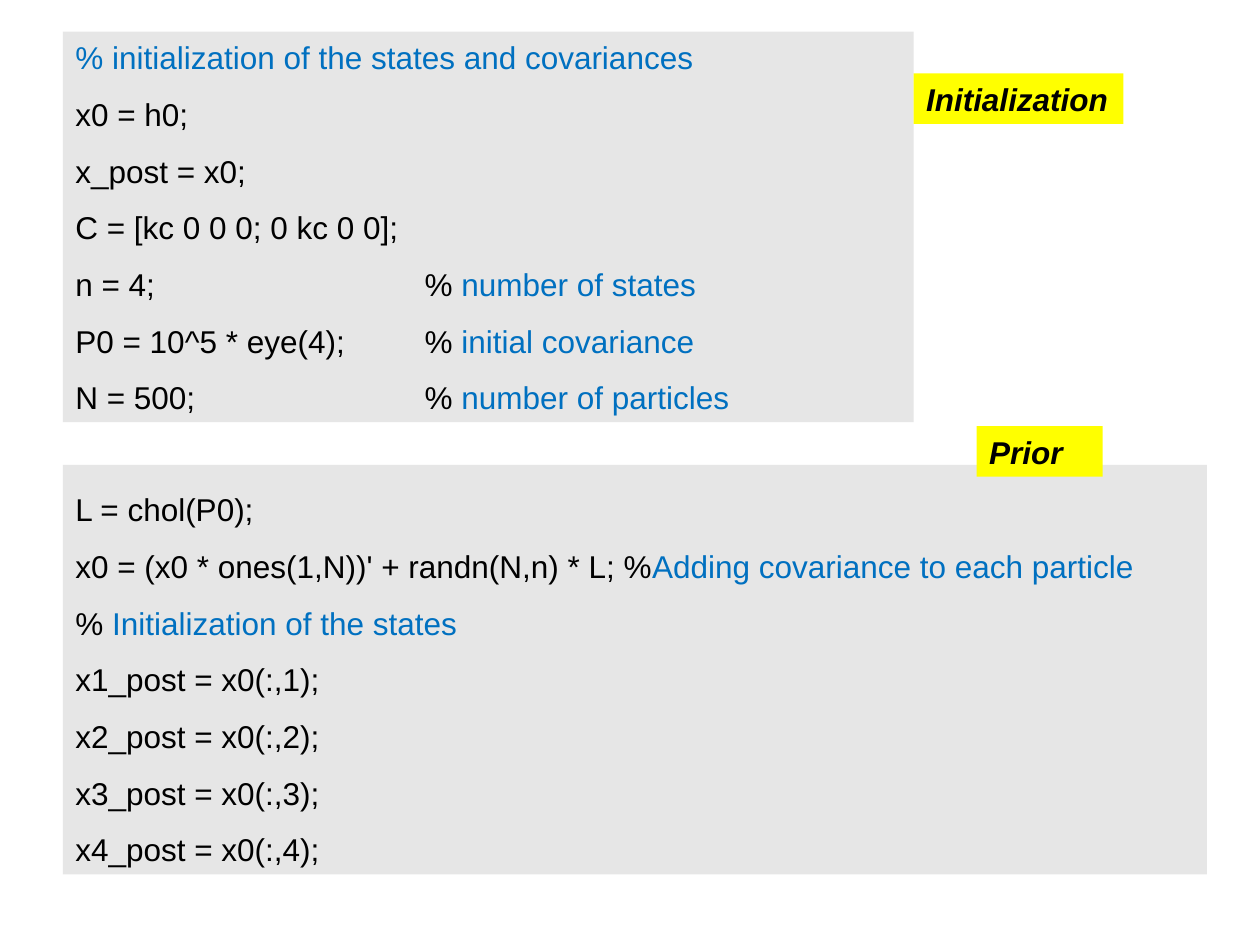
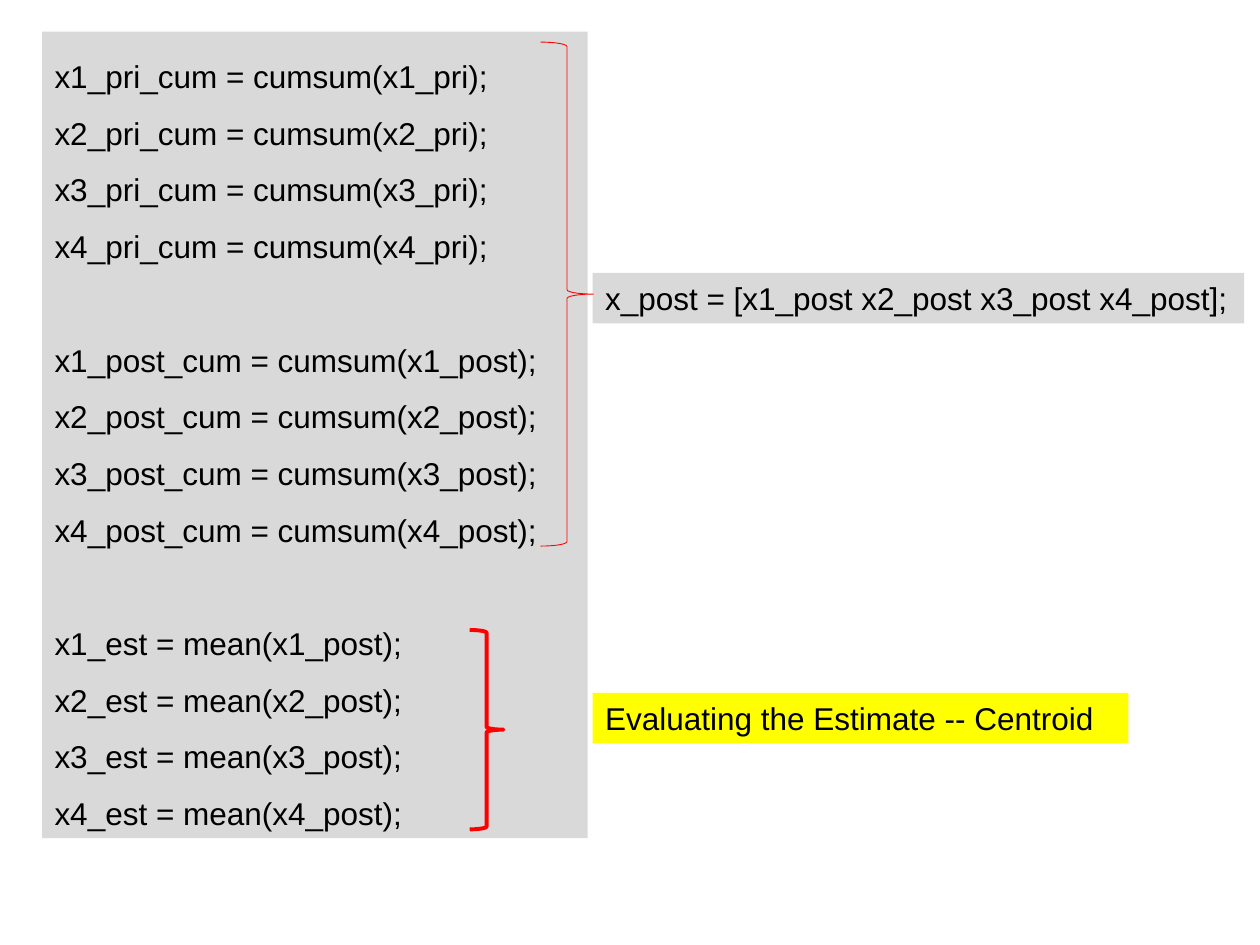
"""Build two slides of annotated particle filter code."""
from lxml.etree import SubElement
from pptx import Presentation
from pptx.dml.color import RGBColor
from pptx.enum.shapes import MSO_SHAPE as Shape
from pptx.enum.text import MSO_ANCHOR as Anchor, PP_ALIGN as Align
from pptx.oxml.ns import qn
from pptx.util import Cm, Pt

BLACK, BLUE, RED, YELLOW = "000000", "0070C0", "FF0000", "FFFF00"
LIGHT_GREY, GREY = "E6E6E6", "D9D9D9"
FONT, SIZE = "Arial", Pt(18)
CODE_SPACING, CODE_PITCH = 1.5, Pt(32.4)
COMMENT_TAB = Cm(7.04)
PADDING_X, PADDING_Y = Cm(0.25), Cm(0.13)
LABEL_HEIGHT = 1.02
STATES = range(1, 5)

INITIALIZATION = [
    ("x0 = h0;", ""),
    ("x_post = x0;", ""),
    ("C = [kc 0 0 0; 0 kc 0 0];", ""),
    ("n = 4;\t% ", "number of states"),
    ("P0 = 10^5 * eye(4);\t% ", "initial covariance"),
    ("N = 500;\t% ", "number of particles"),
]
PRIOR = [
    ("L = chol(P0);", ""),
    ("x0 = (x0 * ones(1,N))' + randn(N,n) * L; %", "Adding covariance to each particle"),
    ("% ", "Initialization of the states"),
] + [(f"x{i}_post = x0(:,{i});", "") for i in STATES]
ESTIMATE_GROUPS = [
    [(f"x{i}_pri_cum = cumsum(x{i}_pri);", "") for i in STATES],
    [(f"x{i}_post_cum = cumsum(x{i}_post);", "") for i in STATES],
    [(f"x{i}_est = mean(x{i}_post);", "") for i in STATES],
]

SLIDES = [
    {
        "code": [
            ((1.27, 0.64, 17.15, 7.87), LIGHT_GREY,
             "% initialization of the states and covariances", [INITIALIZATION]),
            ((1.27, 9.37, 23.06, 8.26), LIGHT_GREY, "", [PRIOR]),
        ],
        "labels": [
            ((19.69, 8.59, 2.54), YELLOW, "Prior", True),
            ((18.42, 1.48, 4.23), YELLOW, "Initialization", True),
        ],
        "braces": [],
    },
    {
        "code": [((0.85, 0.64, 11, 16.26), GREY, "", ESTIMATE_GROUPS)],
        "labels": [
            ((11.95, 5.5, 13.13), GREY, "x_post = [x1_post x2_post x3_post x4_post];", False),
            ((11.95, 13.97, 10.8), YELLOW, "Evaluating the Estimate -- Centroid", False),
        ],
        "braces": [((10.9, 0.85, 1.06, 10.16), 0.5), ((9.47, 12.7, 0.68, 4.02), 2.25)],
    },
]


def color(value):
    return RGBColor.from_string(value)


def add_box(slide, place, fill):
    shape = slide.shapes.add_shape(Shape.RECTANGLE, *map(Cm, place))
    shape.shadow.inherit = False
    shape.fill.solid()
    shape.fill.fore_color.rgb = color(fill)
    shape.line.fill.background()
    frame = shape.text_frame
    frame.word_wrap = True
    frame.vertical_anchor = Anchor.TOP
    frame.margin_left = frame.margin_right = PADDING_X
    frame.margin_top = frame.margin_bottom = PADDING_Y
    return frame


def write_runs(paragraph, *parts, emphasis=False):
    paragraph.alignment = Align.LEFT
    for text, text_color in parts:
        if text:
            run = paragraph.add_run()
            run.text = text
            run.font.name, run.font.size = FONT, SIZE
            run.font.bold = run.font.italic = emphasis
            run.font.color.rgb = color(text_color)


def add_comment_tab(paragraph):
    tabs = SubElement(paragraph._p.get_or_add_pPr(), qn("a:tabLst"))
    SubElement(tabs, qn("a:tab"), pos=str(COMMENT_TAB), algn="l")


def add_code(slide, place, fill, heading, groups):
    frame = add_box(slide, place, fill)
    paragraph = frame.paragraphs[0]
    started = bool(heading)
    if heading:
        write_runs(paragraph, (heading, BLUE))
    for group_number, group in enumerate(groups):
        for line_number, (code, comment) in enumerate(group):
            if started:
                paragraph = frame.add_paragraph()
            started = True
            paragraph.line_spacing = CODE_SPACING
            if group_number and not line_number:
                paragraph.space_before = CODE_PITCH
            if "\t" in code:
                add_comment_tab(paragraph)
            write_runs(paragraph, (code, BLACK), (comment, BLUE))


def add_label(slide, place, fill, text, emphasis):
    frame = add_box(slide, (*place, LABEL_HEIGHT), fill)
    write_runs(frame.paragraphs[0], (text, BLACK), emphasis=emphasis)


def add_brace(slide, place, width):
    brace = slide.shapes.add_shape(Shape.RIGHT_BRACE, *map(Cm, place))
    brace.shadow.inherit = False
    brace.fill.background()
    brace.line.color.rgb = color(RED)
    brace.line.width = Pt(width)


def main():
    presentation = Presentation()
    presentation.slide_width, presentation.slide_height = Cm(25.4), Cm(19.05)
    for content in SLIDES:
        slide = presentation.slides.add_slide(presentation.slide_layouts[6])
        for code in content["code"]:
            add_code(slide, *code)
        for label in content["labels"]:
            add_label(slide, *label)
        for brace in content["braces"]:
            add_brace(slide, *brace)
    presentation.save("out.pptx")


if __name__ == "__main__":
    main()
